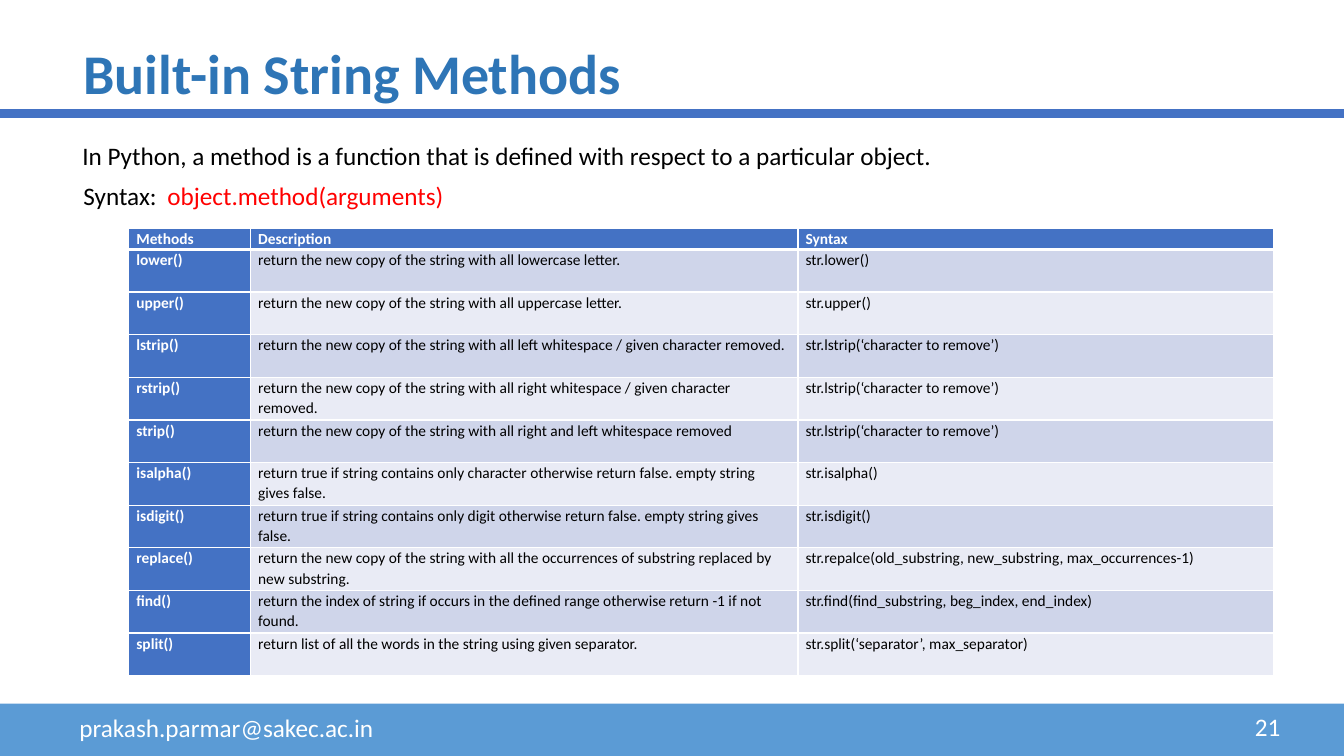
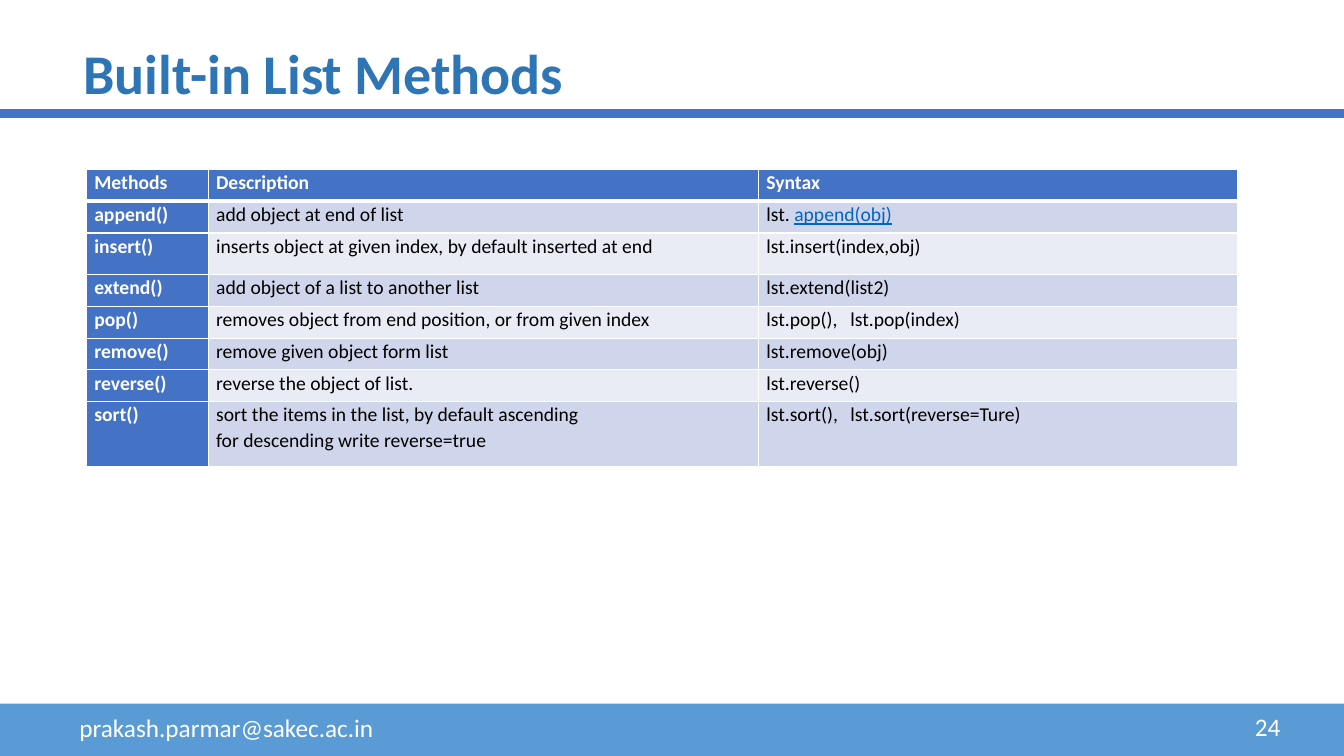
"""Build two slides on the built-in methods of strings and lists."""
import pptx
import pptx.util
import pptx.dml.color
import pptx.enum.shapes
import pptx.enum.text
import pptx.oxml
import pptx.oxml.ns

Pt = pptx.util.Pt
WIDE, HIGH = 960, 540
STOP = 60
HUES = {
    "white": "FFFFFF", "black": "000000", "red": "FF0000", "link": "0563C1",
    "title": "2E75B6", "rule": "4472C4", "foot": "5B9BD5",
    "odd": "CFD5EA", "even": "E9EBF5",
}
BODY = {"name": "Calibri", "size": Pt(18), "bold": False, "hue": "black"}
TITLE = {**BODY, "size": Pt(40), "bold": True, "hue": "title"}
FOOT = {**BODY, "hue": "white"}
FRAME = {"word_wrap": True, "vertical_anchor": pptx.enum.text.MSO_ANCHOR.TOP}
CELL = {
    "margin_left": Pt(5.4), "margin_right": Pt(5.4), "margin_top": 0, "margin_bottom": 0,
    "vertical_anchor": pptx.enum.text.MSO_ANCHOR.TOP,
}
HEAD = ("Methods", "Description", "Syntax")
STRIP = "str.lstrip(‘character to remove’)"
STRINGS = [
    ("lower()", "return the new copy of the string with all lowercase letter.", "str.lower()"),
    ("upper()", "return the new copy of the string with all uppercase letter.", "str.upper()"),
    ("lstrip()", "return the new copy of the string with all left whitespace / given character removed.",
     STRIP),
    ("rstrip()", "return the new copy of the string with all right whitespace / given character removed.",
     STRIP),
    ("strip()", "return the new copy of the string with all right and left whitespace removed", STRIP),
    ("isalpha()", "return true if string contains only character otherwise return false. "
     "empty string gives false.", "str.isalpha()"),
    ("isdigit()", "return true if string contains only digit otherwise return false. "
     "empty string gives false.", "str.isdigit()"),
    ("replace()", "return the new copy of the string with all the occurrences of substring "
     "replaced by new substring.", "str.repalce(old_substring, new_substring, max_occurrences-1)"),
    ("find()", "return the index of string if occurs in the defined range otherwise "
     "return -1 if not found.", "str.find(find_substring, beg_index, end_index)"),
    ("split()", "return list of all the words in the string using given separator.",
     "str.split(‘separator’, max_separator)"),
]
LISTS = [
    ("append()", "add object at end of list",
     [[("lst. ", {}), ("append(obj)", {"hue": "link", "underline": True})]]),
    ("insert()", "inserts object at given index, by default inserted at end", "lst.insert(index,obj)"),
    ("extend()", "add object of a list to another list", "lst.extend(list2)"),
    ("pop()", "removes object from end position, or from given index", "lst.pop(),\tlst.pop(index)"),
    ("remove()", "remove given object form list", "lst.remove(obj)"),
    ("reverse()", "reverse the object of list.", "lst.reverse()"),
    ("sort()", "sort the items in the list, by default ascending\nfor descending write reverse=true",
     "lst.sort(),\tlst.sort(reverse=Ture)"),
]


def tint(hue):
    """Return the named colour."""
    return pptx.dml.color.RGBColor.from_string(HUES[hue])


def put(thing, look):
    """Set each format value on the thing."""
    for key, value in look.items():
        if key == "hue":
            thing.color.rgb = tint(value)
        else:
            setattr(thing, key, value)


def node(tag, inner="", **marks):
    """Make one drawing element."""
    attrs = "".join(f' {key}="{value}"' for key, value in marks.items())
    space = pptx.oxml.ns.nsdecls("a")
    return pptx.oxml.parse_xml(f"<a:{tag} {space}{attrs}>{inner}</a:{tag}>")


def write(frame, text, look, space=None):
    """Fill a frame with lines of text, or with lists of styled runs."""
    lines = [[(line, {})] for line in text.split("\n")] if isinstance(text, str) else text
    for at, line in enumerate(lines):
        para = frame.paragraphs[0] if at == 0 else frame.add_paragraph()
        para.line_spacing = space
        if any("\t" in words for words, _ in line):
            stop = f'<a:tab pos="{Pt(STOP)}" algn="l"/>'
            para._p.get_or_add_pPr().append(node("tabLst", stop))
        for words, extra in line:
            run = para.add_run()
            run.text = words
            put(run.font, {**look, **extra})


def add_text(slide, text, look, *box):
    """Place a text box given as left, top, width, height."""
    frame = slide.shapes.add_textbox(*map(Pt, box)).text_frame
    put(frame, FRAME)
    write(frame, text, look)


def edge(cell, first, last):
    """Draw white borders, thick between the head and the body."""
    white = f'<a:solidFill><a:srgbClr val="{HUES["white"]}"/></a:solidFill>'
    widths = {"lnL": 1, "lnR": 1, "lnT": 3 if first else 1, "lnB": 3 if last else 1}
    for at, (tag, width) in enumerate(widths.items()):
        cell._tc.get_or_add_tcPr().insert(at, node(tag, white, w=Pt(width)))


def add_grid(slide, left, top, cols, rows, data, size):
    """Place a table with a blue head row and first column."""
    box = map(Pt, (left, top, sum(cols), sum(rows)))
    grid = slide.shapes.add_table(len(rows), len(cols), *box).table
    for col, width in zip(grid.columns, cols):
        col.width = Pt(width)
    for row, height in zip(grid.rows, rows):
        row.height = Pt(height)
    for y, line in enumerate([HEAD, *data]):
        for x, text in enumerate(line):
            cell = grid.cell(y, x)
            dark = x == 0 or y == 0
            put(cell, CELL)
            cell.fill.solid()
            cell.fill.fore_color.rgb = tint("rule" if dark else "odd" if y % 2 else "even")
            edge(cell, y == 1, y == 0)
            look = {**BODY, "size": Pt(size), "bold": dark, "hue": "white" if dark else "black"}
            write(cell.text_frame, text, look, 1.07)


def add_slide(deck, title, page):
    """Add a slide with its rule, foot band and title."""
    slide = deck.slides.add_slide(deck.slide_layouts[6])
    rule = slide.shapes.add_connector(
        pptx.enum.shapes.MSO_CONNECTOR.STRAIGHT, 0, Pt(81.2), Pt(WIDE), Pt(81.2))
    rule.line.color.rgb = tint("rule")
    rule.line.width = Pt(6)
    rule._element.spPr.append(node("effectLst"))
    band = slide.shapes.add_shape(
        pptx.enum.shapes.MSO_SHAPE.RECTANGLE, 0, Pt(502.6), Pt(WIDE), Pt(HIGH - 502.6))
    band.shadow.inherit = False
    band.fill.solid()
    band.fill.fore_color.rgb = tint("foot")
    band.line.fill.background()
    add_text(slide, "prakash.parmar@sakec.ac.in", FOOT, 49.7, 505.4, 324, 29)
    add_text(slide, page, FOOT, 889.2, 504.7, 46, 29)
    add_text(slide, title, TITLE, 52.5, 23.8, 734, 55.4)
    return slide


def main():
    """Build and save the deck."""
    deck = pptx.Presentation()
    put(deck, {"slide_width": Pt(WIDE), "slide_height": Pt(HIGH)})

    slide = add_slide(deck, "Built-in String Methods", "21")
    add_text(slide, "In Python, a method is a function that is defined with respect to a particular object.",
             BODY, 51.8, 96.5, 703, 29)
    add_text(slide, [[("Syntax:\t", {}), ("object.method(arguments)", {"hue": "red"})]],
             BODY, 52.5, 125.3, 275, 29)
    add_grid(slide, 92, 163, (87, 391, 340), [15.2] + [30.45] * 10, STRINGS, 11)

    slide = add_slide(deck, "Built-in List Methods", "24")
    add_grid(slide, 62, 121, (87, 393, 342), [22.7, 22.7, 29.8] + [22.7] * 4 + [46.5], LISTS, 14)
    deck.save("out.pptx")


if __name__ == "__main__":
    main()
